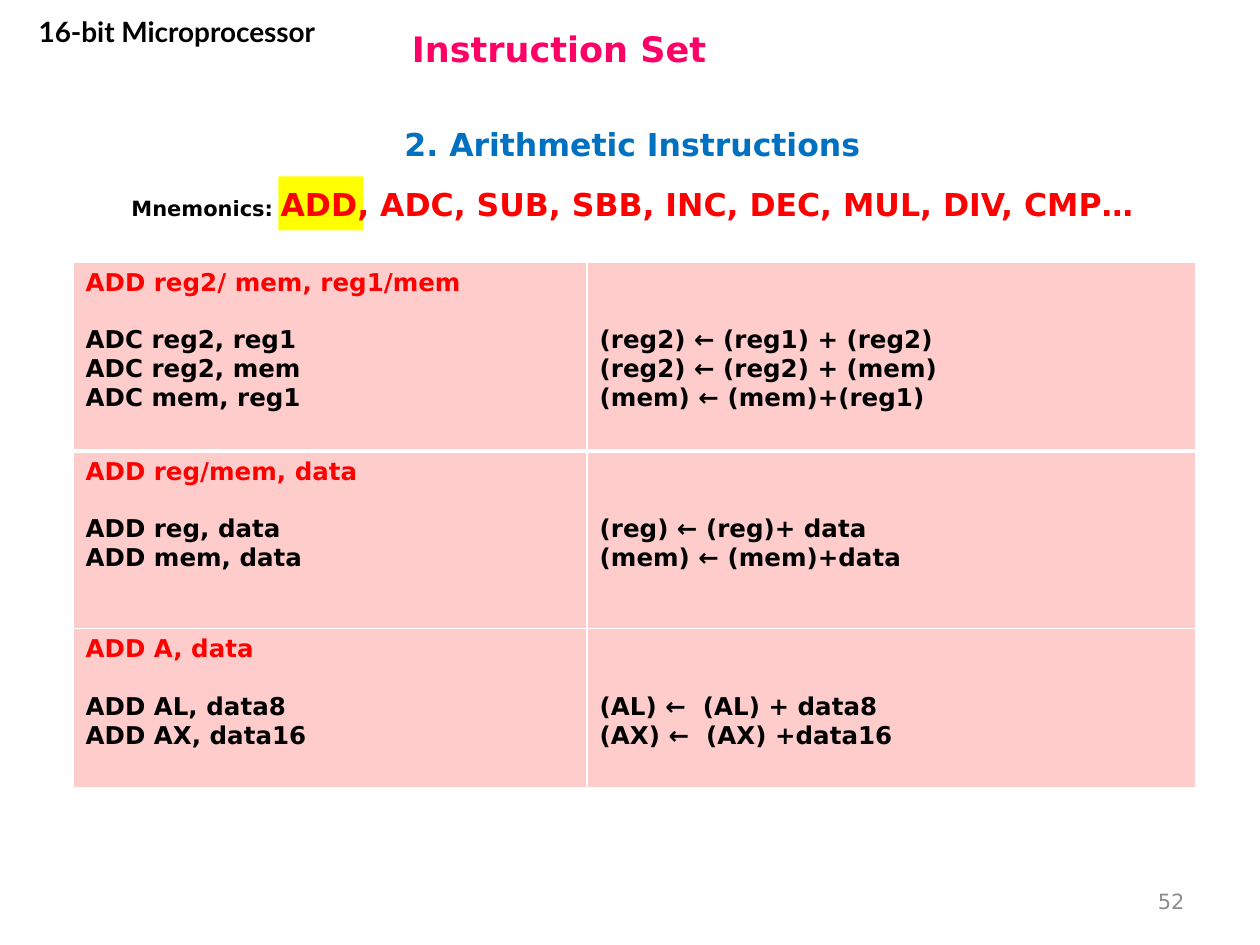
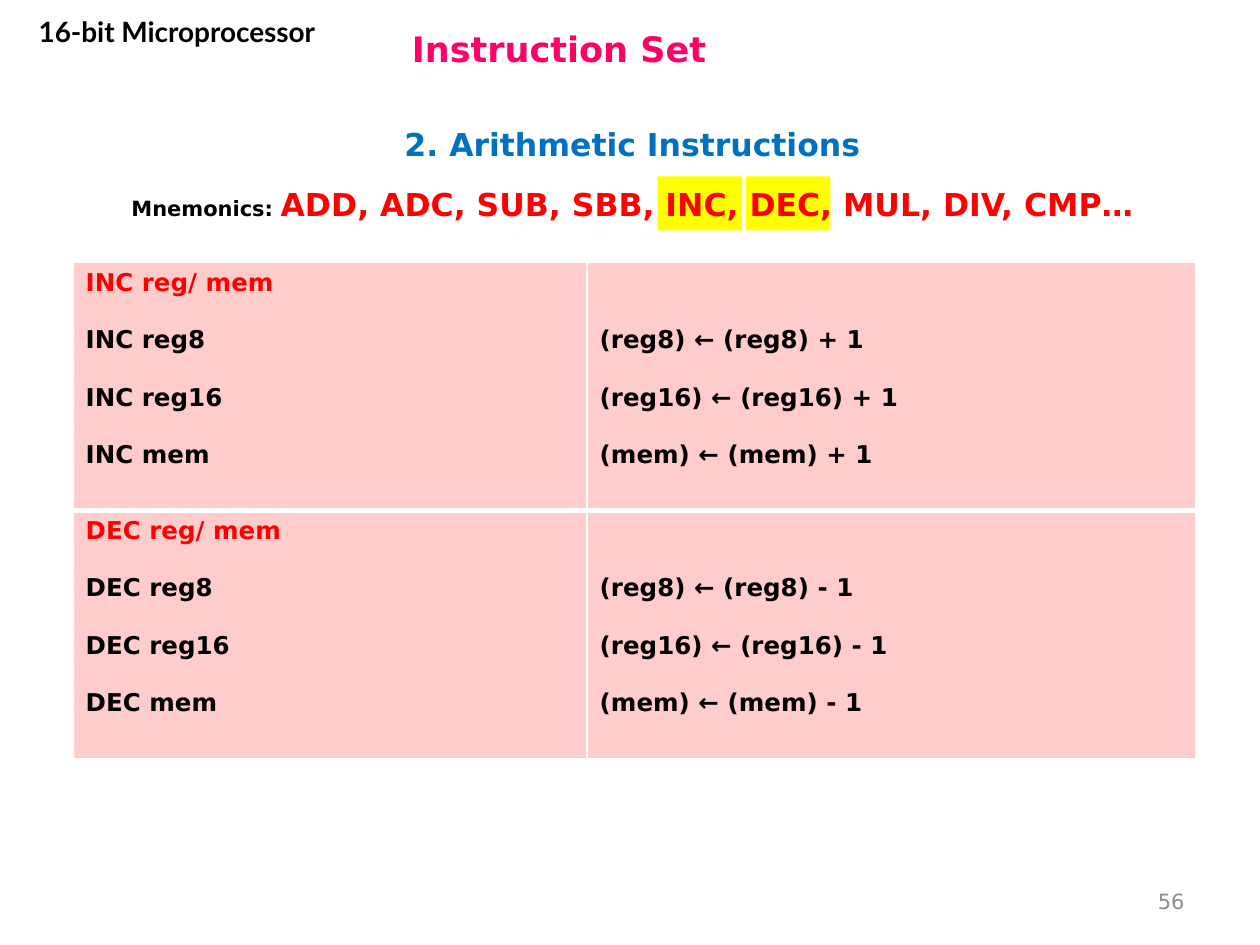
from dataclasses import dataclass

import pptx
import pptx.dml.color
import pptx.enum.shapes
import pptx.enum.text
import pptx.oxml
import pptx.oxml.ns
import pptx.util

Inches = pptx.util.Inches
Pt = pptx.util.Pt
Align = pptx.enum.text.PP_ALIGN
Anchor = pptx.enum.text.MSO_ANCHOR

# Content: each group is a heading and its (instruction, effect) pairs
COURSE = "16-bit Microprocessor"
TITLE = "Instruction Set"
TOPIC = "2. Arithmetic Instructions"
MNEMONICS = "ADD, ADC, SUB, SBB, INC, DEC, MUL, DIV, CMP…"
MARK_LEFT = {"ADD": 2.21, "INC": 5.22, "DEC": 5.92}

SLIDES = [
    {
        "number": "52",
        "marked": ["ADD"],
        "spaced": False,
        "row_heights": [1.5, 1.41, 1.26],
        "groups": [
            ("ADD reg2/ mem, reg1/mem", [
                ("ADC reg2, reg1", "(reg2) ← (reg1) + (reg2)"),
                ("ADC reg2, mem", "(reg2) ← (reg2) + (mem)"),
                ("ADC mem, reg1", "(mem) ← (mem)+(reg1)"),
            ]),
            ("ADD reg/mem, data", [
                ("ADD reg, data", "(reg) ← (reg)+ data"),
                ("ADD mem, data", "(mem) ← (mem)+data"),
            ]),
            ("ADD A, data", [
                ("ADD AL, data8", "(AL) ←  (AL) + data8"),
                ("ADD AX, data16", "(AX) ←  (AX) +data16"),
            ]),
        ],
    },
    {
        "number": "56",
        "marked": ["INC", "DEC"],
        "spaced": True,
        "row_heights": [1.97, 1.97],
        "groups": [
            ("INC reg/ mem", [
                ("INC reg8", "(reg8) ← (reg8) + 1"),
                ("INC reg16", "(reg16) ← (reg16) + 1"),
                ("INC mem", "(mem) ← (mem) + 1"),
            ]),
            ("DEC reg/ mem", [
                ("DEC reg8", "(reg8) ← (reg8) - 1"),
                ("DEC reg16", "(reg16) ← (reg16) - 1"),
                ("DEC mem", "(mem) ← (mem) - 1"),
            ]),
        ],
    },
]


@dataclass(frozen=True)
class Theme:
    font: str = "DejaVu Sans"
    course_font: str = "Lato"
    ink: str = "000000"
    red: str = "FF0000"
    pink: str = "FF0066"
    blue: str = "0070C0"
    grey: str = "8C8C8C"
    yellow: str = "FFFF00"
    cell: str = "FFCCCC"
    rule: str = "FFFFFF"
    title_size: int = 20
    topic_size: int = 18
    course_size: int = 16
    table_size: int = 14
    small_size: int = 12


THEME = Theme()
TABLE_LEFT, TABLE_TOP = 0.58, 2.08
COLUMN_WIDTHS = [4.08, 4.83]
CELL_TOP = 0.05
LINE_POINTS = 16.4  # height of one table line


def rgb(color):
    return pptx.dml.color.RGBColor.from_string(color)


def add_run(paragraph, text, size, color, bold=True, font=THEME.font):
    run = paragraph.add_run()
    run.text = text
    run.font.name = font
    run.font.size = Pt(size)
    run.font.bold = bold
    run.font.color.rgb = rgb(color)


def add_text(slide, box, align=Align.LEFT, anchor=Anchor.MIDDLE):
    """Add a text box and return its first paragraph."""
    frame = slide.shapes.add_textbox(*map(Inches, box)).text_frame
    frame.word_wrap = True
    frame.vertical_anchor = anchor
    frame.paragraphs[0].alignment = align
    return frame.paragraphs[0]


def add_mark(slide, left):
    mark = slide.shapes.add_shape(
        pptx.enum.shapes.MSO_SHAPE.RECTANGLE,
        Inches(left), Inches(1.4), Inches(0.67), Inches(0.43))
    mark.shadow.inherit = False
    mark.fill.solid()
    mark.fill.fore_color.rgb = rgb(THEME.yellow)
    mark.line.fill.background()


def set_borders(cell, top, bottom):
    namespace = pptx.oxml.ns.nsdecls("a")
    widths = {"L": 1, "R": 1, "T": top, "B": bottom}
    for place, (side, width) in enumerate(widths.items()):
        line = pptx.oxml.parse_xml(
            f'<a:ln{side} {namespace} w="{Pt(width)}"><a:solidFill>'
            f'<a:srgbClr val="{THEME.rule}"/></a:solidFill></a:ln{side}>')
        cell._tc.get_or_add_tcPr().insert(place, line)


def fill_cell(cell, lines, gaps, blank_lines=0):
    """Write (text, color) lines; gaps counts the empty lines before each."""
    cell.margin_top = Inches(CELL_TOP) + Pt(blank_lines * LINE_POINTS)
    frame = cell.text_frame
    for index, ((text, color), gap) in enumerate(zip(lines, gaps)):
        paragraph = frame.add_paragraph() if index else frame.paragraphs[0]
        if gap:
            paragraph.space_before = Pt(gap * LINE_POINTS)
        add_run(paragraph, text, THEME.table_size, color)
    cell.fill.solid()
    cell.fill.fore_color.rgb = rgb(THEME.cell)


def add_instruction_table(slide, groups, row_heights, spaced):
    table = slide.shapes.add_table(
        len(groups), 2, Inches(TABLE_LEFT), Inches(TABLE_TOP),
        Inches(sum(COLUMN_WIDTHS)), Inches(sum(row_heights))).table
    table.first_row = False
    table.horz_banding = False
    for column, width in zip(table.columns, COLUMN_WIDTHS):
        column.width = Inches(width)
    for index, (heading, pairs) in enumerate(groups):
        table.rows[index].height = Inches(row_heights[index])
        instruction_cell, effect_cell = table.rows[index].cells
        instructions, effects = zip(*pairs)
        later_gaps = [int(spaced)] * (len(pairs) - 1)
        fill_cell(instruction_cell,
                  [(heading, THEME.red)] + [(text, THEME.ink) for text in instructions],
                  [0, 1] + later_gaps)
        fill_cell(effect_cell, [(text, THEME.ink) for text in effects],
                  [0] + later_gaps, blank_lines=2)
        # A heavier rule under the first row
        for cell in (instruction_cell, effect_cell):
            set_borders(cell, top=3 if index == 1 else 1, bottom=3 if index == 0 else 1)


def add_frame(slide, number):
    """Course name, title, topic, mnemonics and page number."""
    topic = add_text(slide, (0.29, 0.93, 9.46, 0.43), Align.CENTER)
    add_run(topic, TOPIC, THEME.topic_size, THEME.blue)
    title = add_text(slide, (3.17, 0.12, 6.58, 0.53))
    add_run(title, TITLE, THEME.title_size, THEME.pink)
    page = add_text(slide, (7.17, 6.95, 2.33, 0.4), Align.RIGHT)
    add_run(page, number, THEME.small_size, THEME.grey, bold=False)
    course = add_text(slide, (0.07, 0.07, 2.67, 0.64), Align.CENTER, Anchor.TOP)
    add_run(course, COURSE, THEME.course_size, THEME.ink, font=THEME.course_font)
    mnemonics = add_text(slide, (0.29, 1.42, 9.46, 0.4), Align.CENTER, Anchor.TOP)
    add_run(mnemonics, "Mnemonics: ", THEME.small_size, THEME.ink)
    add_run(mnemonics, MNEMONICS, THEME.topic_size, THEME.red)


def main():
    deck = pptx.Presentation()
    deck.slide_width, deck.slide_height = Inches(10), Inches(7.5)
    for content in SLIDES:
        slide = deck.slides.add_slide(deck.slide_layouts[6])
        for mnemonic in content["marked"]:
            add_mark(slide, MARK_LEFT[mnemonic])
        add_frame(slide, content["number"])
        add_instruction_table(slide, content["groups"], content["row_heights"],
                              content["spaced"])
    deck.save("out.pptx")


if __name__ == "__main__":
    main()
